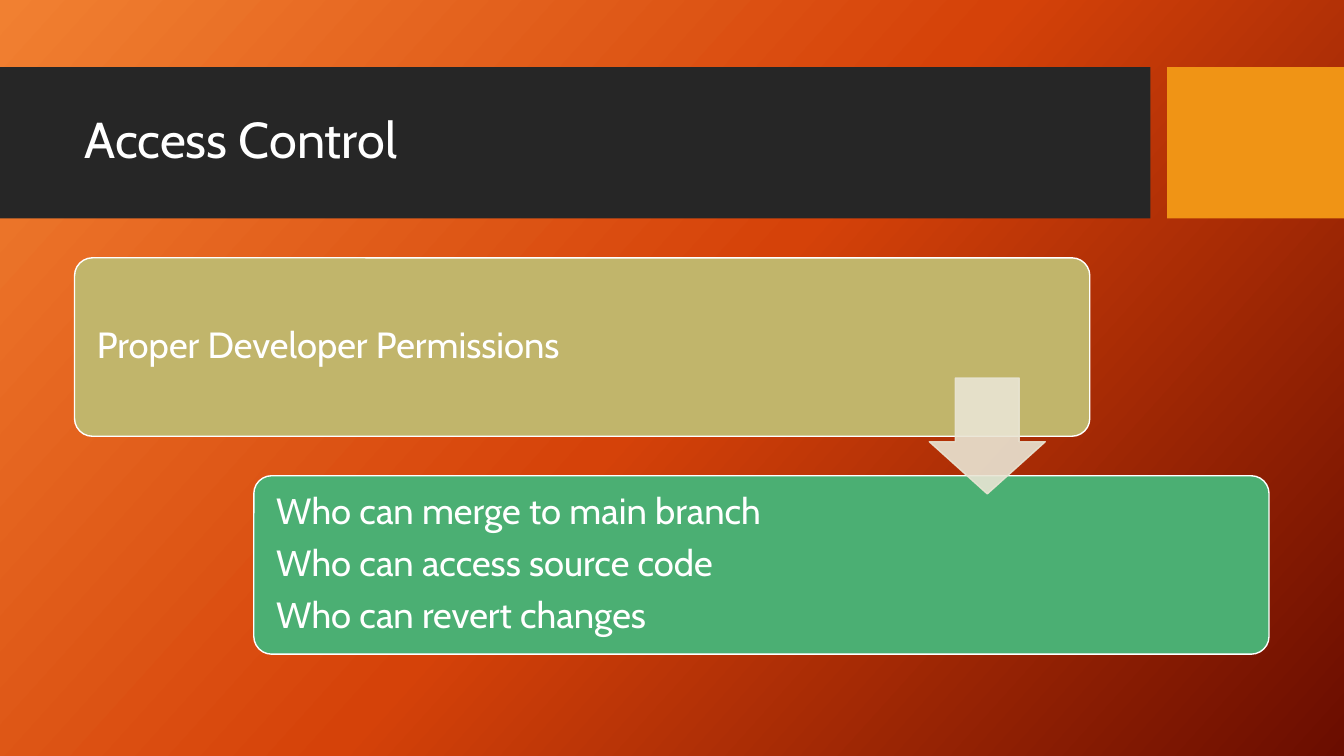
from copy import deepcopy
from dataclasses import dataclass

from lxml.etree import SubElement as Sub
from pptx import Presentation
from pptx.dml.color import RGBColor as Color
from pptx.enum.shapes import MSO_SHAPE as Form
from pptx.enum.text import MSO_ANCHOR as Anchor, PP_ALIGN as Align
from pptx.oxml.ns import qn
from pptx.util import Inches, Pt


@dataclass(frozen=True)
class Theme:
    font: str = "Cabin"
    white: str = "FFFFFF"
    band: str = "262626"
    accent: str = "F09415"
    sand: str = "C1B56B"
    green: str = "4BAF73"
    arrow: str = "E9E5D4"
    back: tuple = ((0, "F18031"), (0.5, "D54209"), (1, "6A0D00"))
    angle: int = 318
    head: int = 36
    body: int = 26
    gap: int = 9
    line: int = 1


def rgb(code):
    return Color.from_string(code)


def apply(item, style):
    for name, value in style.items():
        setattr(item, name, value)


class Board:
    cols, rows = 80, 45
    wide, high = Inches(13.33), Inches(7.5)

    def __init__(self, deck, theme):
        apply(deck, {"slide_width": self.wide, "slide_height": self.high})
        self.theme = theme
        self.slide = deck.slides.add_slide(deck.slide_layouts[6])

    def area(self, col, row, width, height):
        x, y = self.wide / self.cols, self.high / self.rows
        return [round(n) for n in (col * x, row * y, width * x, height * y)]

    def back(self):
        fill = self.slide.background.fill
        fill.gradient()
        fill.gradient_angle = self.theme.angle
        stops = self.slide.element.find(".//" + qn("a:gsLst"))
        stops.append(deepcopy(stops[0]))
        for stop, (place, code) in zip(fill.gradient_stops, self.theme.back):
            stop.position = place
            stop.color.rgb = rgb(code)

    def shape(self, form, cell, code, edge=None, bend=(), alpha=None):
        item = self.slide.shapes.add_shape(form, *self.area(*cell))
        item.shadow.inherit = False
        for spot, value in enumerate(bend):
            item.adjustments[spot] = value
        item.fill.solid()
        item.fill.fore_color.rgb = rgb(code)
        if edge:
            item.line.color.rgb = rgb(edge)
            item.line.width = Pt(self.theme.line)
        else:
            item.line.fill.background()
        if alpha:
            for tint in item.element.spPr.iter(qn("a:srgbClr")):
                Sub(tint, qn("a:alpha"), val=str(alpha * 1000))
        return item

    def label(self, item, lines, size, gap=0, inset=0.1):
        frame = item.text_frame
        apply(frame, {"word_wrap": True, "vertical_anchor": Anchor.MIDDLE,
                      "margin_left": Inches(inset), "margin_right": Inches(inset)})
        frame.text = "\n".join(lines)
        for para in frame.paragraphs:
            apply(para, {"alignment": Align.LEFT, "line_spacing": 0.9,
                         "space_after": Pt(gap)})
            for run in para.runs:
                apply(run.font, {"name": self.theme.font, "size": Pt(size)})
                run.font.color.rgb = rgb(self.theme.white)

    def title(self, cell, text):
        box = self.slide.shapes.add_textbox(*self.area(*cell))
        self.label(box, [text], self.theme.head)

    def card(self, cell, code, lines):
        item = self.shape(Form.ROUNDED_RECTANGLE, cell, code, self.theme.white, [0.1])
        self.label(item, lines, self.theme.body, self.theme.gap, 0.17)

    def arrow(self, cell):
        code = self.theme.arrow
        self.shape(Form.DOWN_ARROW, cell, code, code, (0.55, 0.45), 90)


def main():
    deck = Presentation()
    theme = Theme()
    board = Board(deck, theme)
    board.back()
    board.shape(Form.RECTANGLE, (0, 4, 68.48, 9), theme.band)
    board.shape(Form.RECTANGLE, (69.48, 4, 10.52, 9), theme.accent)
    board.title((4.44, 4.9, 63.06, 7.1), "Access Control")
    cards = (
        (theme.sand, ["Proper Developer Permissions"]),
        (theme.green, ["Who can merge to main branch",
                       "Who can access source code",
                       "Who can revert changes"]),
    )
    for step, (code, lines) in enumerate(cards):
        cell = (4.44 + 10.67 * step, 15.35 + 12.97 * step, 60.43, 10.62)
        board.card(cell, code, lines)
    board.arrow((55.32, 22.5, 6.9, 6.9))
    deck.save("out.pptx")


if __name__ == "__main__":
    main()
